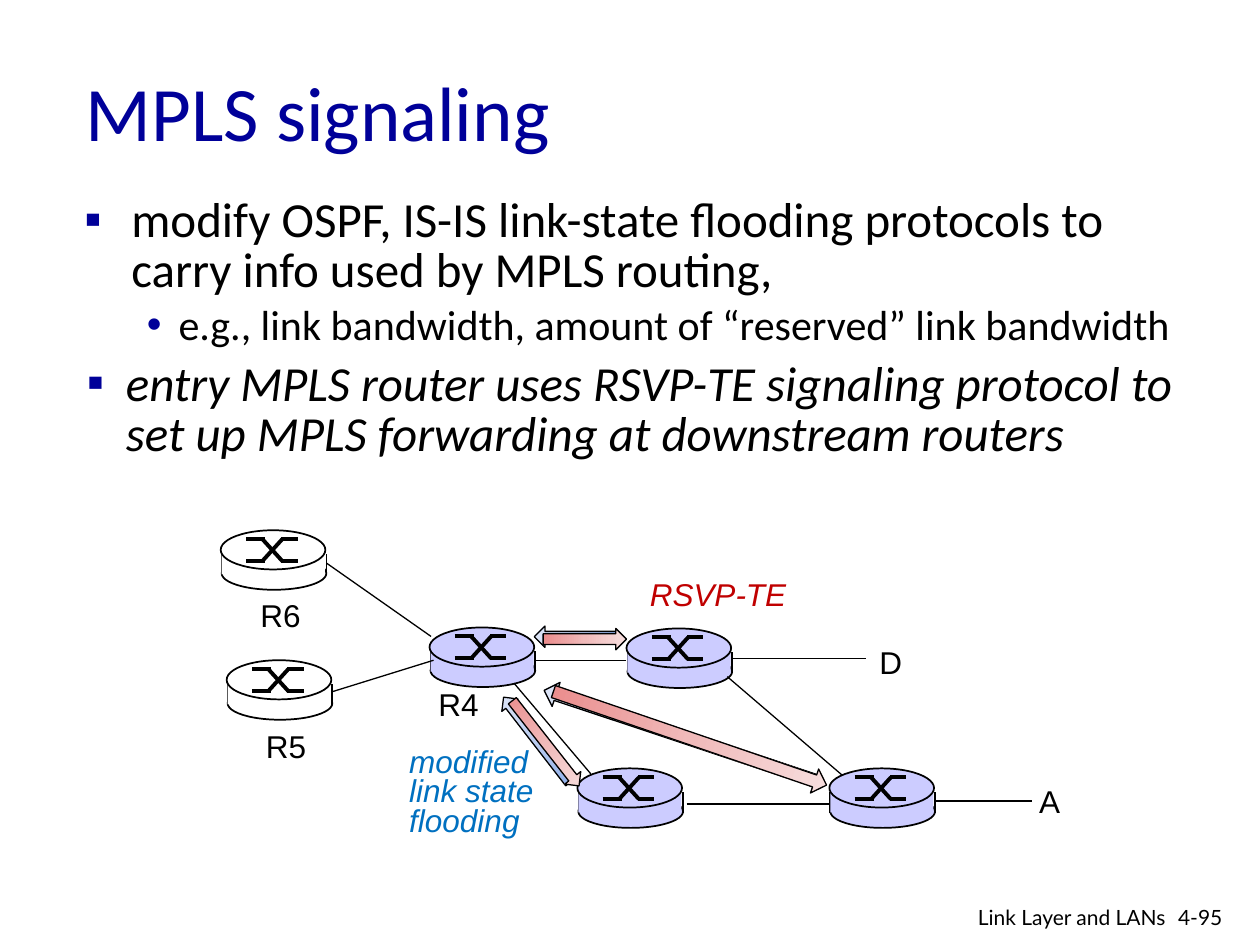
from copy import deepcopy
from dataclasses import dataclass
from typing import Optional

from lxml.etree import SubElement
from pptx import Presentation
from pptx.dml.color import RGBColor
from pptx.enum.shapes import MSO_CONNECTOR, MSO_SHAPE
from pptx.enum.text import MSO_ANCHOR, PP_ALIGN
from pptx.oxml.ns import qn
from pptx.util import Cm, Pt

BLACK = RGBColor(0x00, 0x00, 0x00)
WHITE = RGBColor(0xFF, 0xFF, 0xFF)
NAVY = RGBColor(0x00, 0x00, 0x99)
LAVENDER = RGBColor(0xCC, 0xCC, 0xFF)
FLOODING_BLUE = RGBColor(0x00, 0x70, 0xC0)
RSVP_RED = RGBColor(0xC0, 0x00, 0x00)
BLUE_FADE = (RGBColor(0x8C, 0xAD, 0xEA), RGBColor(0xBA, 0xCC, 0xF0), RGBColor(0xDE, 0xE6, 0xF7))
RED_FADE = (RGBColor(0xEA, 0x8C, 0x8C), RGBColor(0xF0, 0xBA, 0xBA), RGBColor(0xF7, 0xDE, 0xDE))


@dataclass
class Router:
    x: float
    y: float
    color: RGBColor = LAVENDER


@dataclass
class Arrow:
    x: float
    y: float
    width: float
    height: float
    rotation: float
    fade: tuple


@dataclass
class Bullet:
    mark: str
    left: float
    hanging: float


ROUTERS = [
    Router(16.72, 15.49),
    Router(11.64, 15.49),
    Router(12.63, 12.67),
    Router(8.66, 12.65),
    Router(4.45, 10.69, WHITE),
    Router(4.57, 13.31, WHITE),
]
LINKS = [  # x1, y1, x2, y2
    (6.58, 11.35, 8.69, 12.83),
    (6.71, 13.94, 8.74, 13.31),
    (10.77, 13.31, 12.62, 13.31),
    (10.36, 13.77, 11.91, 15.6),
    (13.84, 16.21, 16.74, 16.21),
    (14.66, 13.64, 16.97, 15.62),
    (18.85, 16.15, 20.8, 16.15),
    (14.76, 13.28, 17.45, 13.28),
]
# Router parts, relative to its top-left corner
SIDES = [(x, 0.48, x, 0.89) for x in (0.02, 2.13)]
SWITCH_SYMBOL = [
    (0.51, 0.18, 0.89, 0.18),
    (1.22, 0.62, 1.55, 0.62),
    (0.84, 0.18, 1.24, 0.62),
    (0.51, 0.62, 0.89, 0.62),
    (1.22, 0.18, 1.55, 0.18),
    (0.84, 0.62, 1.24, 0.18),
]
NODE_LABELS = [  # text, x, y, width
    ("D", 17.48, 12.83, 0.97),
    ("R4", 8.59, 13.69, 1.32),
    ("R5", 5.11, 14.53, 1.32),
    ("A", 20.7, 15.65, 0.94),
    ("R6", 5.0, 11.89, 1.32),
]
FLOODING_ARROWS = [
    Arrow(10.77, 12.62, 1.68, 0.43, 180, BLUE_FADE),
    Arrow(9.73, 14.71, 2.18, 0.41, 232.3, BLUE_FADE),
    Arrow(10.82, 14.58, 5.82, 0.51, 198.4, BLUE_FADE),
]
RSVP_ARROWS = [
    Arrow(10.95, 12.67, 1.68, 0.43, 0, RED_FADE),
    Arrow(9.91, 14.78, 2.18, 0.41, 51.9, RED_FADE),
    Arrow(11.0, 14.63, 5.82, 0.51, 18.9, RED_FADE),
]


def add_box(slide, x: float, y: float, width: float, height: float, wrap: bool = True):
    frame = slide.shapes.add_textbox(Cm(x), Cm(y), Cm(width), Cm(height)).text_frame
    frame.word_wrap = wrap
    return frame


def write(frame, text: str, *, size: float, font: str = "Arial", color: RGBColor = BLACK,
          italic: bool = False, align=PP_ALIGN.LEFT, spacing=None, before: float = 0,
          level: int = 0, bullet: Optional[Bullet] = None) -> None:
    """Fill the first paragraph if it is empty, otherwise add another one."""
    first = frame.paragraphs[0]
    paragraph = frame.add_paragraph() if first.runs else first
    paragraph.level = level
    paragraph.alignment = align
    paragraph.line_spacing = spacing
    paragraph.space_before = Pt(before)
    if bullet:
        properties = paragraph._p.get_or_add_pPr()
        properties.set("marL", str(Cm(bullet.left)))
        properties.set("indent", str(-Cm(bullet.hanging)))
        SubElement(SubElement(properties, qn("a:buClr")), qn("a:srgbClr"), val=str(NAVY))
        SubElement(properties, qn("a:buFont"), typeface="Arial")
        SubElement(properties, qn("a:buChar"), char=bullet.mark)
    run = paragraph.add_run()
    run.text = text
    run.font.size = Pt(size)
    run.font.name = font
    run.font.italic = italic
    run.font.color.rgb = color


def add_line(slide, points: tuple, weight: float, dx: float = 0, dy: float = 0) -> None:
    x1, y1, x2, y2 = points
    line = slide.shapes.add_connector(MSO_CONNECTOR.STRAIGHT, Cm(x1 + dx), Cm(y1 + dy),
                                      Cm(x2 + dx), Cm(y2 + dy))
    line.line.color.rgb = BLACK
    line.line.width = Pt(weight)
    SubElement(line._element.spPr, qn("a:effectLst"))


def add_solid(slide, kind, x: float, y: float, width: float, height: float,
              color: RGBColor, outlined: bool = True) -> None:
    solid = slide.shapes.add_shape(kind, Cm(x), Cm(y), Cm(width), Cm(height))
    solid.shadow.inherit = False
    solid.fill.solid()
    solid.fill.fore_color.rgb = color
    if outlined:
        solid.line.color.rgb = BLACK
        solid.line.width = Pt(1)
    else:
        solid.line.fill.background()


def draw_router(slide, router: Router) -> None:
    x, y, color = router.x, router.y, router.color
    add_solid(slide, MSO_SHAPE.OVAL, x + 0.02, y + 0.54, 2.11, 0.66, color)
    for side in SIDES:
        add_line(slide, side, 1, x, y)
    add_solid(slide, MSO_SHAPE.RECTANGLE, x + 0.02, y + 0.48, 2.08, 0.41, color, outlined=False)
    add_solid(slide, MSO_SHAPE.OVAL, x, y, 2.11, 0.79, color)
    for stroke in SWITCH_SYMBOL:
        add_line(slide, stroke, 2.25, x, y)


def draw_arrow(slide, arrow: Arrow) -> None:
    block = slide.shapes.add_shape(MSO_SHAPE.RIGHT_ARROW, Cm(arrow.x), Cm(arrow.y),
                                   Cm(arrow.width), Cm(arrow.height))
    block.shadow.inherit = False
    block.rotation = arrow.rotation
    block.line.color.rgb = BLACK
    block.line.width = Pt(0.75)
    block.fill.gradient()
    block.fill.gradient_angle = 0
    stop_list = block._element.spPr.find(qn("a:gradFill")).find(qn("a:gsLst"))
    stop_list.append(deepcopy(stop_list[0]))
    for stop, position, color in zip(block.fill.gradient_stops, (0, 0.5, 1), arrow.fade):
        stop.position = position
        stop.color.rgb = color


def main() -> None:
    presentation = Presentation()
    presentation.slide_width, presentation.slide_height = Cm(25.4), Cm(19.05)
    slide = presentation.slides.add_slide(presentation.slide_layouts[5])

    # Title
    title = slide.shapes.title
    title.left, title.top, title.width, title.height = Cm(1.47), Cm(0.64), Cm(21.59), Cm(3.18)
    title.text_frame.vertical_anchor = MSO_ANCHOR.MIDDLE
    write(title.text_frame, "MPLS signaling", size=44, font="Calibri", color=NAVY)

    # Bullets
    protocols = add_box(slide, 1.45, 3.86, 23.16, 3.76)
    write(protocols, "modify OSPF, IS-IS link-state flooding protocols to carry info used by MPLS routing,",
          size=28, font="Calibri", spacing=0.85, bullet=Bullet("▪", 0.95, 0.95))
    write(protocols, "e.g., link bandwidth, amount of “reserved” link bandwidth",
          size=24, font="Calibri", spacing=0.85, before=5, level=1, bullet=Bullet("•", 1.9, 0.64))
    entry_router = add_box(slide, 1.5, 7.16, 23.16, 2.95)
    write(entry_router, "entry MPLS router uses RSVP-TE signaling protocol to set up MPLS forwarding "
          "at downstream routers", size=28, font="Calibri", italic=True, spacing=0.85,
          bullet=Bullet("▪", 0.79, 0.79))

    # Network
    for router in ROUTERS:
        draw_router(slide, router)
    for link in LINKS:
        add_line(slide, link, 0.75)
    for node, x, y, width in NODE_LABELS:
        write(add_box(slide, x, y, width, 1.02, wrap=False), node, size=18)

    # Link state flooding and RSVP-TE signaling
    for arrow in FLOODING_ARROWS + RSVP_ARROWS:
        draw_arrow(slide, arrow)
    flooding = add_box(slide, 8.0, 14.99, 3.23, 2.08, wrap=False)
    for words in ("modified", "link state", "flooding"):
        write(flooding, words, size=18, color=FLOODING_BLUE, italic=True, spacing=Pt(17))
    write(add_box(slide, 12.85, 11.63, 3.3, 0.86, wrap=False), "RSVP-TE",
          size=18, color=RSVP_RED, italic=True, spacing=Pt(17))

    # Footer
    write(add_box(slide, 23.5, 18.11, 1.52, 0.76), "4-95", size=12, font="Lato")
    write(add_box(slide, 17.7, 18.11, 6.05, 0.66), "Link Layer and LANs",
          size=12, font="Lato", align=PP_ALIGN.RIGHT)

    presentation.save("out.pptx")


if __name__ == "__main__":
    main()
